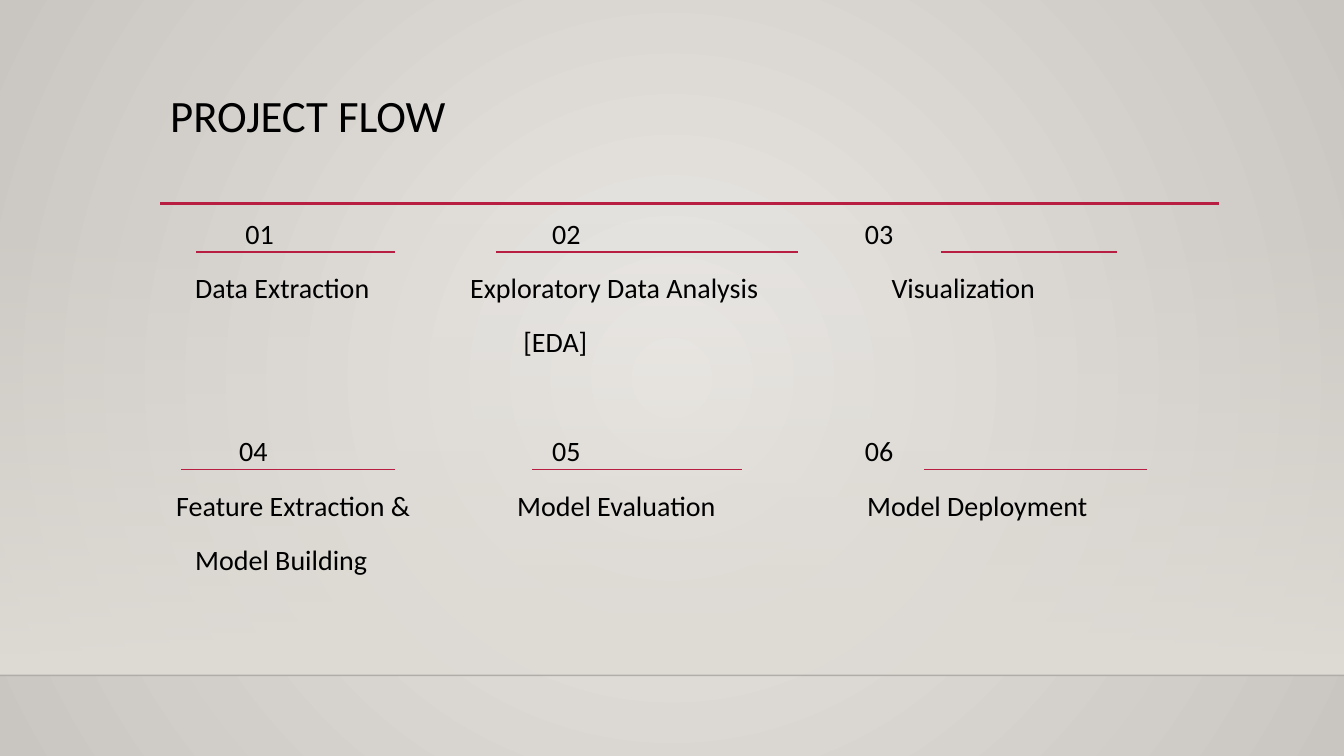
from dataclasses import dataclass

from lxml import etree
from pptx import Presentation
from pptx.dml.color import RGBColor as RGB
from pptx.enum.shapes import MSO_CONNECTOR as Connector, MSO_SHAPE as Preset
from pptx.oxml import parse_xml
from pptx.oxml.ns import nsdecls, qn
from pptx.util import Pt


@dataclass(frozen=True)
class Theme:
    font: str = "Calibri"
    title_size: int = 32
    body_size: int = 20
    text: str = "000000"
    accent: str = "B71E42"
    floor_edge: str = "000001"
    glow: str = "EBE9E6"
    rim: str = "C9C5C0"
    wall: str = "DFDBD5"


theme = Theme()
WIDTH, HEIGHT = 960, 540
LEFT, CONTENT_WIDTH = 114.5, 756
INSET = 7.2
FLOOR = 482.4

presentation = Presentation()
presentation.slide_width, presentation.slide_height = Pt(WIDTH), Pt(HEIGHT)
slide = presentation.slides.add_slide(presentation.slide_layouts[6])


def add_rule(x1, x2, y, color, weight):
    """Draw a horizontal line without a shadow and return it."""
    rule = slide.shapes.add_connector(Connector.STRAIGHT, Pt(x1), Pt(y), Pt(x2), Pt(y))
    rule.line.color.rgb = RGB.from_string(color)
    rule.line.width = Pt(weight)
    etree.SubElement(rule._element.spPr, qn("a:effectLst"))
    return rule


def add_text(top, height, rows, size, line_spacing):
    """Add a text box; each row is (space before, [(x on slide, text), ...])."""
    box = slide.shapes.add_textbox(Pt(LEFT), Pt(top), Pt(CONTENT_WIDTH), Pt(height))
    frame = box.text_frame
    frame.word_wrap = True
    for index, (space_before, cells) in enumerate(rows):
        paragraph = frame.add_paragraph() if index else frame.paragraphs[0]
        tab_stops = etree.SubElement(paragraph._p.get_or_add_pPr(), qn("a:tabLst"))
        text = ""
        for x, label in cells:
            if x > LEFT + INSET:
                position = Pt(x - LEFT - INSET)
                etree.SubElement(tab_stops, qn("a:tab"), pos=str(position), algn="l")
                text += "\t"
            text += label
        paragraph.add_run().text = text
        paragraph.line_spacing = line_spacing
        if space_before:
            paragraph.space_before = Pt(space_before)
        paragraph.font.name = theme.font
        paragraph.font.size = Pt(size)
        paragraph.font.color.rgb = RGB.from_string(theme.text)


# Background: radial glow
background = slide.background.fill
background.gradient()
background.gradient_stops[0].color.rgb = RGB.from_string(theme.glow)
background.gradient_stops[1].color.rgb = RGB.from_string(theme.rim)
gradient = slide._element.cSld.find(".//" + qn("a:gradFill"))
gradient.replace(gradient.find(qn("a:lin")), parse_xml(
    f'<a:path {nsdecls("a")} path="circle">'
    '<a:fillToRect l="50000" t="50000" r="50000" b="50000"/></a:path>'))

# Wall fading in towards the floor
wall = slide.shapes.add_shape(Preset.RECTANGLE, 0, Pt(159), Pt(WIDTH), Pt(FLOOR - 159))
wall.shadow.inherit = False
wall.line.fill.background()
wall.fill.gradient()
wall.fill.gradient_angle = 270
for stop in wall.fill.gradient_stops:
    stop.color.rgb = RGB.from_string(theme.wall)
clear_color = wall._element.spPr.find(".//" + qn("a:srgbClr"))
etree.SubElement(clear_color, qn("a:alpha"), val="0")

floor_line = add_rule(0, WIDTH, FLOOR, theme.floor_edge, 1)
floor_color = floor_line._element.spPr.find(".//" + qn("a:srgbClr"))
etree.SubElement(floor_color, qn("a:alpha"), val="20000")

# Title and steps
add_rule(LEFT, LEFT + CONTENT_WIDTH, 145.3, theme.accent, 2.5)
add_text(63.4, 82.5, [(0, [(LEFT, "PROJECT FLOW")])], theme.title_size, 0.9)

step_rows = [
    (0, [(175.5, "01"), (394.5, "02"), (618, "03")]),
    (10, [(139.5, "Data Extraction"), (336, "Exploratory Data Analysis"),
          (637, "Visualization")]),
    (10, [(374, "[EDA]")]),
    (49, [(171, "04"), (394.5, "05"), (618, "06")]),
    (10, [(126, "Feature Extraction &"), (369.5, "Model Evaluation"),
          (619.5, "Model Deployment")]),
    (10, [(139.5, "Model Building")]),
]
add_text(146, 330.5, step_rows, theme.body_size, 1.2)

step_rules = {
    180: [(140, 282), (354, 570), (672, 798)],
    335.5: [(129.5, 282), (380, 530), (660, 819.5)],
}
for y, spans in step_rules.items():
    for start, end in spans:
        add_rule(start, end, y, theme.accent, 0.75)

presentation.save("out.pptx")
